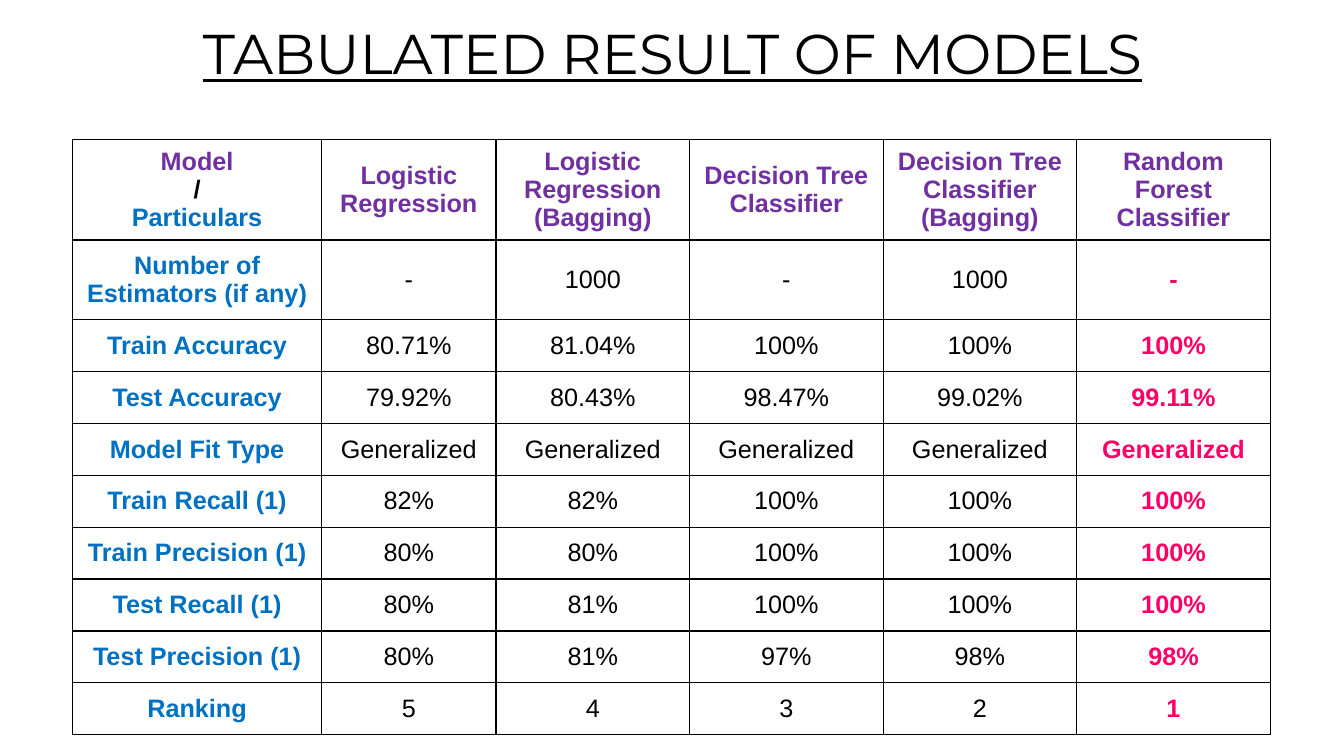
from lxml.etree import SubElement
from pptx import Presentation
from pptx.dml.color import RGBColor
from pptx.enum.text import MSO_ANCHOR, PP_ALIGN
from pptx.oxml.ns import qn
from pptx.util import Inches, Pt

COLORS = {
    "text": "000000",
    "model": "7030A0",
    "particular": "0070C0",
    "best": "FF0066",
}

COLUMN_WIDTHS = [2.47, 1.73] + [1.92] * 4
HEADER_HEIGHT, ESTIMATORS_HEIGHT, METRICS_HEIGHT = 0.89, 0.79, 4.12

RESULTS = [
    ["Model\n/\nParticulars", "Logistic Regression", "Logistic Regression (Bagging)",
     "Decision Tree Classifier", "Decision Tree Classifier (Bagging)",
     "Random Forest Classifier"],
    ["Number of Estimators (if any)", "-", "1000", "-", "1000", "-"],
    ["Train Accuracy", "80.71%", "81.04%", "100%", "100%", "100%"],
    ["Test Accuracy", "79.92%", "80.43%", "98.47%", "99.02%", "99.11%"],
    ["Model Fit Type"] + ["Generalized"] * 5,
    ["Train Recall (1)", "82%", "82%", "100%", "100%", "100%"],
    ["Train Precision (1)", "80%", "80%", "100%", "100%", "100%"],
    ["Test Recall (1)", "80%", "81%", "100%", "100%", "100%"],
    ["Test Precision (1)", "80%", "81%", "97%", "98%", "98%"],
    ["Ranking", "5", "4", "3", "2", "1"],
]


def style_paragraph(p, font, size, color, bold=False):
    p.alignment = PP_ALIGN.CENTER
    p.font.name = font
    p.font.size = Pt(size)
    p.font.bold = bold
    p.font.color.rgb = RGBColor.from_string(COLORS[color])


def add_title(slide, text):
    s = slide.shapes.add_textbox(Inches(0.92), Inches(0), Inches(11.5), Inches(1.12))
    tf = s.text_frame
    tf.word_wrap = True
    tf.vertical_anchor = MSO_ANCHOR.MIDDLE
    p = tf.paragraphs[0]
    p.text = text
    p.line_spacing = 0.9
    style_paragraph(p, "Montserrat", 40, "text")
    p.font.underline = True


def add_borders(cell):
    tc_pr = cell._tc.get_or_add_tcPr()
    for side in ("a:lnL", "a:lnR", "a:lnT", "a:lnB"):
        ln = SubElement(tc_pr, qn(side), w=str(Pt(1)))
        fill = SubElement(ln, qn("a:solidFill"))
        SubElement(fill, qn("a:srgbClr"), val=COLORS["text"])


def cell_colors(row, col):
    """Colour names for the paragraphs of one cell."""
    if row == 0:
        return ["model", "text", "particular"] if col == 0 else ["model"]
    if col == 0:
        return ["particular"]
    return ["best"] if col == len(COLUMN_WIDTHS) - 1 else ["text"]


def fill_cell(cell, text, colors, bold):
    add_borders(cell)
    cell.fill.background()
    cell.vertical_anchor = MSO_ANCHOR.MIDDLE
    cell.text = text
    for p, color in zip(cell.text_frame.paragraphs, colors):
        style_paragraph(p, "Arial", 18, color, bold)


def add_results_table(slide):
    metric_height = METRICS_HEIGHT / (len(RESULTS) - 2)
    heights = [HEADER_HEIGHT, ESTIMATORS_HEIGHT] + [metric_height] * (len(RESULTS) - 2)
    table = slide.shapes.add_table(
        len(RESULTS), len(COLUMN_WIDTHS), Inches(0.72), Inches(1.38),
        Inches(sum(COLUMN_WIDTHS)), Inches(sum(heights))).table
    table.first_row = False
    table.horz_banding = False
    for column, width in zip(table.columns, COLUMN_WIDTHS):
        column.width = Inches(width)
    for row, height in zip(table.rows, heights):
        row.height = Inches(height)
    for r, values in enumerate(RESULTS):
        for c, text in enumerate(values):
            colors = cell_colors(r, c)
            fill_cell(table.cell(r, c), text, colors, bold=colors != ["text"])


def main():
    prs = Presentation()
    prs.slide_width, prs.slide_height = Inches(13.33), Inches(7.5)
    slide = prs.slides.add_slide(prs.slide_layouts[6])

    # Heading
    add_title(slide, "TABULATED RESULT OF MODELS")

    # Model comparison
    add_results_table(slide)

    prs.save("out.pptx")


if __name__ == "__main__":
    main()
